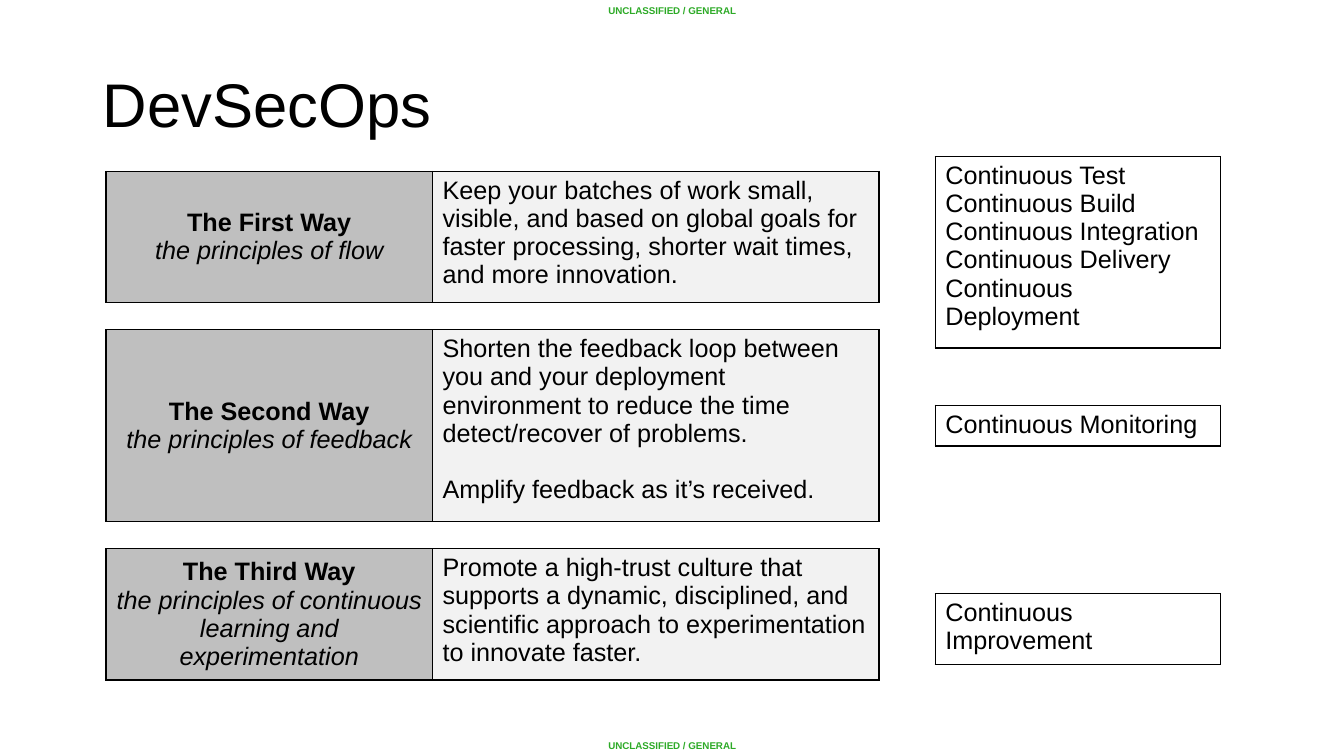
from lxml import etree
from pptx import Presentation
from pptx.dml.color import RGBColor
from pptx.enum.text import MSO_ANCHOR, MSO_AUTO_SIZE, PP_ALIGN
from pptx.oxml.ns import qn
from pptx.util import Cm, Pt

TOP, MIDDLE, BOTTOM = MSO_ANCHOR.TOP, MSO_ANCHOR.MIDDLE, MSO_ANCHOR.BOTTOM
LEFT, CENTER = PP_ALIGN.LEFT, PP_ALIGN.CENTER
NO_AUTOFIT = MSO_AUTO_SIZE.NONE
TITLE_ONLY = 5

BLACK, WHITE, GREEN = "000000", "FFFFFF", "2DAA27"
NAME_FILL, SUMMARY_FILL = "BFBFBF", "F2F2F2"

TITLE_FORMAT = {"size": Pt(44), "bold": False}
BANNER_FORMAT = {"size": Pt(7), "bold": True}
BODY_FORMAT = {"size": Pt(18), "bold": False, "italic": False}
NAME_FORMAT = {"size": Pt(18), "bold": True, "italic": False}
PRINCIPLE_FORMAT = {"size": Pt(18), "bold": False, "italic": True}

WAYS = [
    (3.3, "The First Way", "the principles of flow",
     ["Keep your batches of work small, visible, and based on global goals for "
      "faster processing, shorter wait times, and more innovation."]),
    (4.83, "The Second Way", "the principles of feedback",
     ["Shorten the feedback loop between you and your deployment environment "
      "to reduce the time detect/recover of problems.",
      "Amplify feedback as it’s received."]),
    (3.3, "The Third Way",
     "the principles of continuous learning and experimentation",
     ["Promote a high-trust culture that supports a dynamic, disciplined, and "
      "scientific approach to experimentation to innovate faster."]),
]
WAY_GAP = 0.69
WAY_COLUMNS = [8.23, 11.25]

PRACTICES = [
    (3.94, 4.83, ["Continuous Test", "Continuous Build", "Continuous Integration",
                  "Continuous Delivery", "Continuous Deployment"]),
    (10.21, 1.03, ["Continuous Monitoring"]),
    (14.96, 1.78, ["Continuous Improvement"]),
]


def color(value):
    return RGBColor.from_string(value)


def write_lines(text_frame, lines, alignment, font_color=BLACK, gap=0):
    for index, (text, font_format) in enumerate(lines):
        paragraph = text_frame.paragraphs[0] if index == 0 else text_frame.add_paragraph()
        paragraph.alignment = alignment
        if index and gap:
            paragraph.space_before = Pt(gap)
        run = paragraph.add_run()
        run.text = text
        run.font.name = "Arial"
        run.font.color.rgb = color(font_color)
        for name, value in font_format.items():
            setattr(run.font, name, value)


def add_borders(cell):
    properties = cell._tc.get_or_add_tcPr()
    for index, side in enumerate(("a:lnL", "a:lnR", "a:lnT", "a:lnB")):
        line = etree.Element(qn(side), w=str(Pt(1)))
        fill = etree.SubElement(line, qn("a:solidFill"))
        etree.SubElement(fill, qn("a:srgbClr"), val=BLACK)
        properties.insert(index, line)


def add_row_table(slide, left, top, widths, height):
    table = slide.shapes.add_table(
        1, len(widths), Cm(left), Cm(top), Cm(sum(widths)), Cm(height)).table
    table.first_row = False
    table.horz_banding = False
    for column, width in zip(table.columns, widths):
        column.width = Cm(width)
    return table


def fill_cell(cell, fill, lines, alignment=LEFT, anchor=TOP, gap=0):
    cell.fill.solid()
    cell.fill.fore_color.rgb = color(fill)
    cell.vertical_anchor = anchor
    add_borders(cell)
    write_lines(cell.text_frame, lines, alignment, gap=gap)


def add_banner(slide, left, top, width, height, anchor):
    shape = slide.shapes.add_textbox(Cm(left), Cm(top), Cm(width), Cm(height))
    shape.text_frame.word_wrap = True
    shape.text_frame.vertical_anchor = anchor
    write_lines(shape.text_frame, [("UNCLASSIFIED / GENERAL", BANNER_FORMAT)], CENTER, GREEN)


def place_title(slide, left, top, width, height):
    title = slide.shapes.title
    box = {"left": left, "top": top, "width": width, "height": height}
    for name, value in box.items():
        setattr(title, name, Cm(value))
    frame_format = {"word_wrap": True, "auto_size": NO_AUTOFIT, "vertical_anchor": BOTTOM}
    for name, value in frame_format.items():
        setattr(title.text_frame, name, value)
    write_lines(title.text_frame, [("DevSecOps", TITLE_FORMAT)], LEFT)
    title.text_frame.paragraphs[0].line_spacing = 0.9


def add_ways(slide, left, top):
    for height, name, principle, summary in WAYS:
        table = add_row_table(slide, left, top, WAY_COLUMNS, height)
        fill_cell(table.cell(0, 0), NAME_FILL,
                  [(name, NAME_FORMAT), (principle, PRINCIPLE_FORMAT)], CENTER, MIDDLE)
        fill_cell(table.cell(0, 1), SUMMARY_FILL,
                  [(text, BODY_FORMAT) for text in summary], gap=20.3)
        top += height + WAY_GAP


def add_practices(slide, left, width):
    for top, height, practices in PRACTICES:
        table = add_row_table(slide, left, top, [width], height)
        fill_cell(table.cell(0, 0), WHITE, [(text, BODY_FORMAT) for text in practices])


def main():
    presentation = Presentation()
    presentation.slide_width = Cm(33.87)
    presentation.slide_height = Cm(19.05)
    slide = presentation.slides.add_slide(presentation.slide_layouts[TITLE_ONLY])
    add_banner(slide, 3.86, 0, 26.16, 0.56, TOP)
    add_banner(slide, 3.86, 18.49, 26.16, 0.56, BOTTOM)
    place_title(slide, 2.34, 0, 29.21, 3.68)
    add_ways(slide, 2.67, 4.32)
    add_practices(slide, 23.57, 7.19)
    presentation.save("out.pptx")


if __name__ == "__main__":
    main()
